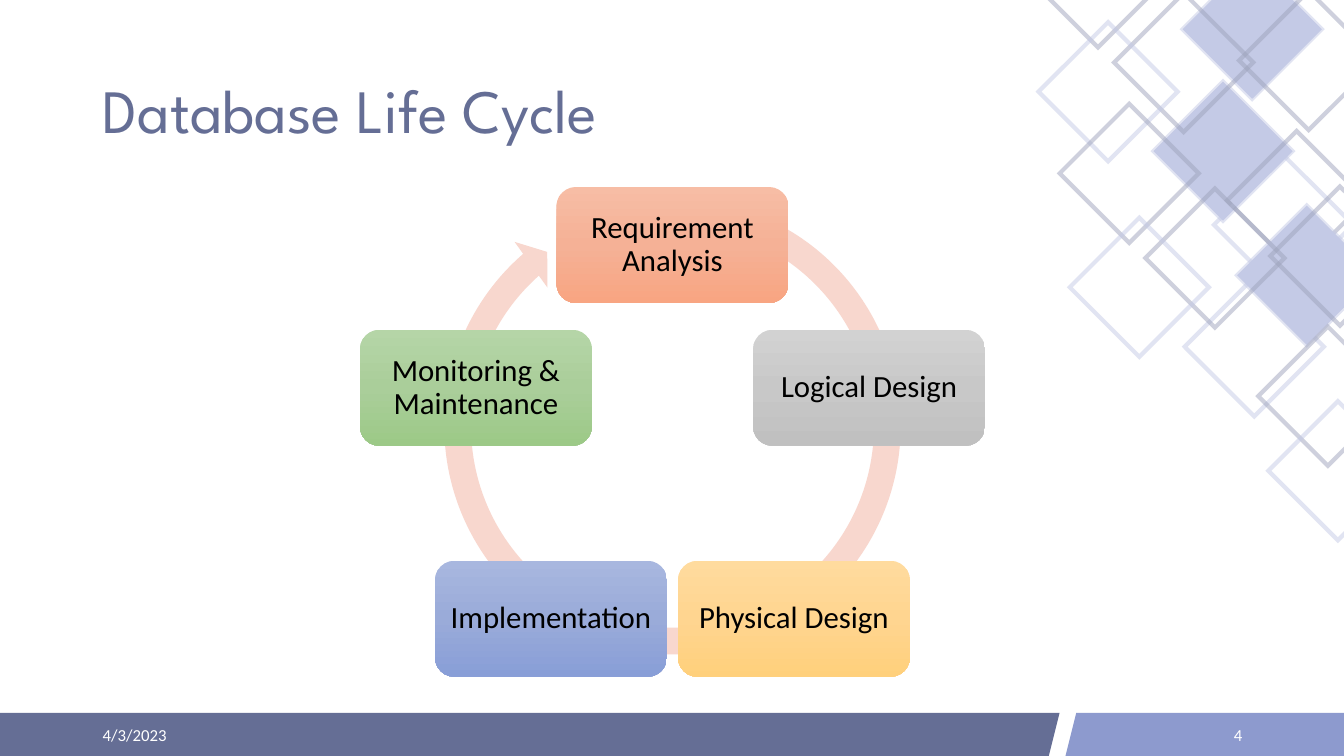
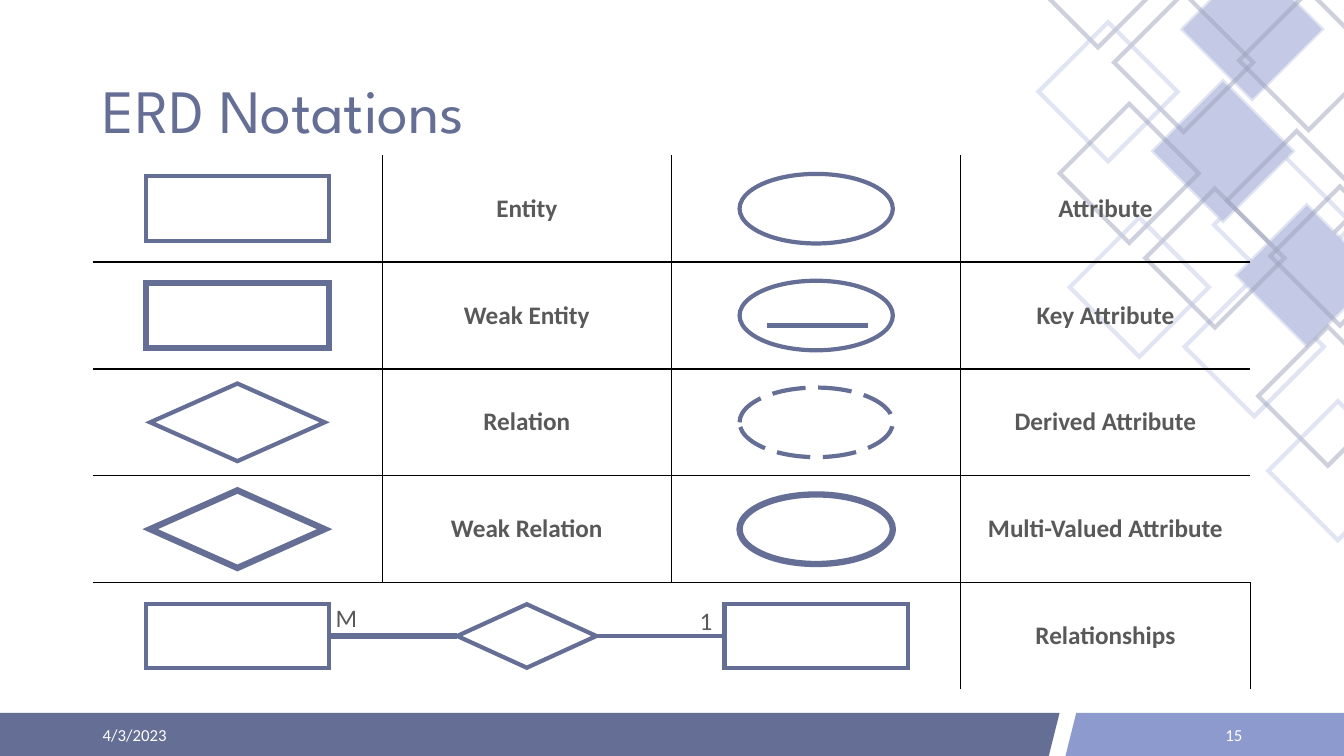
from copy import deepcopy
from dataclasses import dataclass
from math import cos, pi, sin

from lxml import etree
from pptx import Presentation
from pptx.dml.color import RGBColor
from pptx.enum import dml, shapes, text
from pptx.oxml.ns import qn
from pptx.util import Inches, Pt

SLATE, PERIWINKLE, LAVENDER, MIST = "656E95", "8D9ACE", "C4CAE6", "9EA3BC"
WHITE, BLACK, GRAY, PEACH = "FFFFFF", "000000", "595959", "F8D7CE"
BODY_FONT, TITLE_FONT = "Calibri", "League Spartan"
NO_STYLE_TABLE = "{2D5ABB26-0587-4C30-8999-92F81FD0307C}"
PRESET = shapes.MSO_SHAPE
ALIGN = text.PP_ALIGN
ANCHOR = text.MSO_ANCHOR


@dataclass(frozen=True)
class Diamond:
    left: float
    top: float
    outline: str
    filled: bool = False


@dataclass(frozen=True)
class Stage:
    label: str
    gradient: tuple[str, str, str]


@dataclass(frozen=True)
class Symbol:
    kind: PRESET
    column: float
    row: int
    weight: float = 3
    dash: dml.MSO_LINE | None = None


CLUSTER = (
    Diamond(11.73, -0.4, LAVENDER, True),
    Diamond(12.29, -0.09, MIST),
    Diamond(11.44, 0.81, LAVENDER, True),
    Diamond(11.05, -0.07, MIST),
    Diamond(12.17, 1.3, MIST),
    Diamond(12.27, 2.04, LAVENDER, True),
    Diamond(10.2, -0.91, MIST),
    Diamond(10.3, 0.22, LAVENDER),
)
DIAMOND_SIZE = 1.38
CLUSTER_SHIFT = (0.31, 1.94)

STAGES = (
    Stage("Requirement Analysis", ("F7BDA5", "F5B196", "F8A582")),
    Stage("Logical Design", ("D2D2D2", "C8C8C8", "C0C0C0")),
    Stage("Physical Design", ("FFDB9E", "FFD590", "FFD07C")),
    Stage("Implementation", ("A8B7DF", "9AABD9", "889ED7")),
    Stage("Monitoring & Maintenance", ("B5D5A7", "AACE9A", "9CC987")),
)

NOTATIONS = (
    ("", "Entity", "", "Attribute"),
    ("", "Weak Entity", "", "Key Attribute"),
    ("", "Relation", "", "Derived Attribute"),
    ("", "Weak Relation", "", "Multi-Valued Attribute"),
    ("", "", "", "Relationships"),
)
GRID_LEFT, GRID_TOP, COLUMN, ROW = 0.92, 1.54, 2.87, 1.06
SYMBOL_SIZE = {
    PRESET.RECTANGLE: (1.82, 0.64),
    PRESET.DIAMOND: (1.73, 0.77),
    PRESET.OVAL: (1.52, 0.69),
}
SYMBOLS = (
    Symbol(PRESET.RECTANGLE, 0, 0),
    Symbol(PRESET.RECTANGLE, 0, 1, 4.5),
    Symbol(PRESET.DIAMOND, 0, 2),
    Symbol(PRESET.DIAMOND, 0, 3, 4.5),
    Symbol(PRESET.OVAL, 2, 0),
    Symbol(PRESET.OVAL, 2, 1),
    Symbol(PRESET.OVAL, 2, 2, dash=dml.MSO_LINE.LONG_DASH),
    Symbol(PRESET.OVAL, 2, 3, 4.5),
)


def rgb(color: str) -> RGBColor:
    return RGBColor.from_string(color)


def write(frame, content: str, *, size: float, color: str, font: str = BODY_FONT,
          bold: bool = False, align=ALIGN.LEFT, anchor=ANCHOR.MIDDLE,
          spacing: float = 1.0, wrap: bool = True) -> None:
    frame.word_wrap = wrap
    frame.auto_size = text.MSO_AUTO_SIZE.NONE
    frame.vertical_anchor = anchor
    paragraph = frame.paragraphs[0]
    paragraph.alignment = align
    paragraph.line_spacing = spacing
    run = paragraph.add_run()
    run.text = content
    run.font.name, run.font.size, run.font.bold = font, Pt(size), bold
    run.font.color.rgb = rgb(color)


def add_label(slide, box: tuple, content: str, **style) -> None:
    label = slide.shapes.add_textbox(*map(Inches, box))
    write(label.text_frame, content, **style)


def add_preset(slide, kind, box: tuple, *, fill: str | None = None,
               line: str | None = None, weight: float = 1, dash=None):
    shape = slide.shapes.add_shape(kind, *map(Inches, box))
    shape.shadow.inherit = False
    if fill:
        shape.fill.solid()
        shape.fill.fore_color.rgb = rgb(fill)
    else:
        shape.fill.background()
    if line:
        shape.line.color.rgb = rgb(line)
        shape.line.width = Pt(weight)
        if dash:
            shape.line.dash_style = dash
        # Sharp corners
        etree.SubElement(shape.element.xpath("p:spPr/a:ln")[0], qn("a:miter"), lim="800000")
    else:
        shape.line.fill.background()
    return shape


def add_line(slide, start: tuple, end: tuple, weight: float):
    line = slide.shapes.add_connector(
        shapes.MSO_CONNECTOR.STRAIGHT, *map(Inches, start + end))
    line.line.color.rgb = rgb(SLATE)
    line.line.width = Pt(weight)
    etree.SubElement(line.element.xpath("p:spPr")[0], qn("a:effectLst"))
    return line


def fill_gradient(shape, colors: tuple[str, str, str]) -> None:
    shape.fill.gradient()
    shape.fill.gradient_angle = 270
    stop_list = shape.element.xpath(".//a:gsLst")[0]
    stop_list.insert(1, deepcopy(stop_list[0]))
    for stop, color, position in zip(shape.fill.gradient_stops, colors, (0, 0.5, 1)):
        stop.color.rgb = rgb(color)
        stop.position = position


def decorate_layout(layout, slide) -> None:
    """Build the bands and diamonds, then move them to the shared layout."""
    parts = [
        add_preset(slide, PRESET.PARALLELOGRAM, (left, 7.08, width, 0.44),
                   fill=color, line=color)
        for left, width, color in ((-0.48, 10.98, SLATE), (10.57, 2.94, PERIWINKLE))
    ]
    for step in range(2):
        for item in CLUSTER:
            box = (item.left + step * CLUSTER_SHIFT[0],
                   item.top + step * CLUSTER_SHIFT[1], DIAMOND_SIZE, DIAMOND_SIZE)
            fill = LAVENDER if item.filled and step == 0 else None
            diamond = add_preset(slide, PRESET.DIAMOND, box, fill=fill,
                                 line=item.outline, weight=3)
            outline = diamond.element.xpath("p:spPr/a:ln//a:srgbClr")[0]
            etree.SubElement(outline, qn("a:alpha"), val="50000")
            parts.append(diamond)
    for number, part in enumerate(parts, start=100):
        part.element.xpath("p:nvSpPr/p:cNvPr")[0].set("id", str(number))
        layout.shapes.element.append(part.element)


def start_slide(deck, layout, heading: str, number: str):
    slide = deck.slides.add_slide(layout)
    title = slide.shapes.title
    title.left, title.top, title.width, title.height = map(Inches, (0.92, 0.4, 11.5, 1.45))
    write(title.text_frame, heading, size=44, color=SLATE, font=TITLE_FONT, spacing=0.9)
    add_label(slide, (0.92, 7.09, 3, 0.4), "4/3/2023", size=12, color=WHITE)
    add_label(slide, (9.42, 7.09, 3, 0.4), number, size=12, color=WHITE, align=ALIGN.RIGHT)
    return slide


def draw_life_cycle(slide) -> None:
    ring = add_preset(slide, PRESET.CIRCULAR_ARROW, (4.26, 1.82, 4.82, 4.82), fill=PEACH)
    for index, value in enumerate((0.055, 3.307, 137.289, 174.147, 0.058)):
        ring.adjustments[index] = value

    # Stages stand at equal angles, clockwise from the top
    center_x, center_y, radius, width, height = 6.67, 4.48, 2.05, 2.3, 1.15
    for index, stage in enumerate(STAGES):
        angle = 2 * pi * index / len(STAGES)
        box = (center_x + radius * sin(angle) - width / 2,
               center_y - radius * cos(angle) - height / 2, width, height)
        card = add_preset(slide, PRESET.ROUNDED_RECTANGLE, box)
        fill_gradient(card, stage.gradient)
        frame = card.text_frame
        frame.margin_left = frame.margin_right = Inches(0.06)
        write(frame, stage.label, size=22, color=BLACK, align=ALIGN.CENTER, spacing=0.9)


def set_border(cell, side: str) -> None:
    border = etree.SubElement(cell._tc.get_or_add_tcPr(), qn(f"a:ln{side}"), w="12700")
    fill = etree.SubElement(border, qn("a:solidFill"))
    etree.SubElement(fill, qn("a:srgbClr"), val=BLACK)


def draw_notation_table(slide) -> None:
    rows, columns = len(NOTATIONS), len(NOTATIONS[0])
    holder = slide.shapes.add_table(
        rows, columns, *map(Inches, (GRID_LEFT, GRID_TOP, COLUMN * columns, ROW * rows)))
    holder.element.xpath(".//a:tableStyleId")[0].text = NO_STYLE_TABLE
    table = holder.table
    table.first_row = table.horz_banding = False
    table.cell(rows - 1, 0).merge(table.cell(rows - 1, columns - 2))
    for r, labels in enumerate(NOTATIONS):
        for c, label in enumerate(labels):
            cell = table.cell(r, c)
            # Rules run between cells only; the merged cell's right one is its neighbour's left
            inner = {"L": c > 0, "R": c < columns - 1 and not cell.is_merge_origin,
                     "T": r > 0, "B": r < rows - 1}
            if not cell.is_spanned:
                for side in (side for side, shown in inner.items() if shown):
                    set_border(cell, side)
            cell.fill.background()
            cell.vertical_anchor = ANCHOR.MIDDLE
            if label:
                write(cell.text_frame, label, size=18, color=GRAY, bold=True,
                      align=ALIGN.CENTER)


def add_symbol(slide, symbol: Symbol, size: tuple | None = None):
    width, height = size or SYMBOL_SIZE[symbol.kind]
    box = (GRID_LEFT + COLUMN * (symbol.column + 0.5) - width / 2,
           GRID_TOP + ROW * (symbol.row + 0.5) - height / 2, width, height)
    return add_preset(slide, symbol.kind, box, line=SLATE,
                      weight=symbol.weight, dash=symbol.dash)


def draw_relationship(slide) -> None:
    many = add_symbol(slide, Symbol(PRESET.RECTANGLE, 0, 4))
    one = add_symbol(slide, Symbol(PRESET.RECTANGLE, 2, 4))
    relation = add_symbol(slide, Symbol(PRESET.DIAMOND, 1, 4), (1.38, 0.63))
    for source, target, weight in ((many, relation, 4.5), (relation, one, 3)):
        link = add_line(slide, (0, 0), (1, 1), weight)
        link.begin_connect(source, 3)
        link.end_connect(target, 1)
    for box, mark in (((3.23, 5.93, 0.42, 0.4), "M"), ((6.84, 5.96, 0.33, 0.4), "1")):
        add_label(slide, box, mark, size=18, color=GRAY, anchor=ANCHOR.TOP, wrap=False)


def main() -> None:
    deck = Presentation()
    deck.slide_width, deck.slide_height = Inches(13.33), Inches(7.5)
    layout = deck.slide_layouts[5]

    life_cycle = start_slide(deck, layout, "Database Life Cycle", "4")
    decorate_layout(layout, life_cycle)
    draw_life_cycle(life_cycle)

    notations = start_slide(deck, layout, "ERD Notations", "15")
    draw_notation_table(notations)
    for symbol in SYMBOLS:
        add_symbol(notations, symbol)
    add_line(notations, (7.61, 3.23), (8.61, 3.23), 3)  # key underline
    draw_relationship(notations)

    deck.save("out.pptx")


if __name__ == "__main__":
    main()
